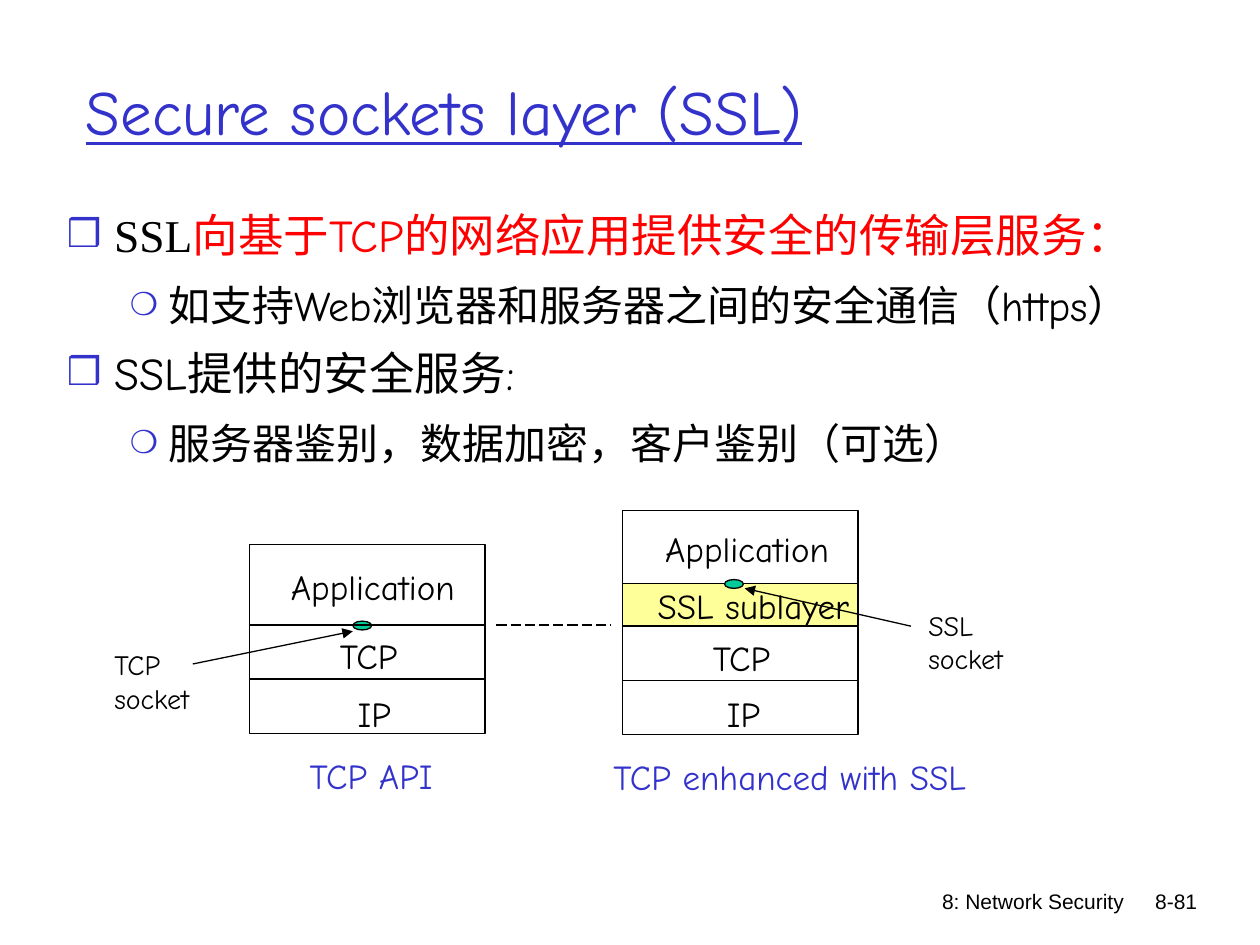
from lxml import etree
from pptx import Presentation
from pptx import util as u
from pptx.dml.color import RGBColor
from pptx.enum import dml, shapes, text
from pptx.oxml.ns import qn

BLACK = RGBColor(0x00, 0x00, 0x00)
BLUE = RGBColor(0x33, 0x33, 0xCC)
RED = RGBColor(0xFF, 0x00, 0x00)
YELLOW = RGBColor(0xFF, 0xFF, 0x99)
GREEN = RGBColor(0x00, 0xCC, 0x99)
FONT = "Comic Neue"

prs = Presentation()
prs.slide_width, prs.slide_height = u.Inches(10), u.Inches(7.5)
COL, ROW = prs.slide_width / 100, prs.slide_height / 75  # 100 x 75 grid
s = prs.slides.add_slide(prs.slide_layouts[1])


def grid(*cells):
    """Turn alternating column and row counts into lengths."""
    return [round(n * (COL, ROW)[i % 2]) for i, n in enumerate(cells)]


def write(p, words, size, color=BLACK, name=FONT, underline=None):
    r = p.add_run()
    r.text = words
    fmt = dict(size=u.Pt(size), name=name, underline=underline)
    for key, value in fmt.items():
        setattr(r.font, key, value)
    r.font.color.rgb = color


# Title and body placeholders
title, body = s.shapes.title, s.placeholders[1]
for sp, cells, anchor in [
    (title, (5.8, 2.5, 85, 12.5), text.MSO_ANCHOR.MIDDLE),
    (body, (4.3, 15.7, 92.2, 23.7), text.MSO_ANCHOR.TOP),
]:
    sp.left, sp.top, sp.width, sp.height = grid(*cells)
    tf = sp.text_frame
    for key, value in dict(auto_size=text.MSO_AUTO_SIZE.NONE, word_wrap=True,
                           vertical_anchor=anchor).items():
        setattr(tf, key, value)
p = title.text_frame.paragraphs[0]
p.alignment = text.PP_ALIGN.LEFT
write(p, "Secure sockets layer (SSL)", 36, BLUE, underline=True)

# Bulleted list: level and its runs
LEVELS = [  # bullet, bullet size, margin, indent, text size, space before
    ("❒", 85, 3.75, -3.75, 26, 6.5),
    ("❍", 75, 8.1, -3.1, 24, 6),
]
items = [
    (0, [("SSL", BLACK, "Times New Roman"),
         ("向基于TCP的网络应用提供安全的传输层服务：", RED, FONT)]),
    (1, [("如支持Web浏览器和服务器之间的安全通信（https）", BLACK, FONT)]),
    (0, [("SSL提供的安全服务:", BLACK, FONT)]),
    (1, [("服务器鉴别，数据加密，客户鉴别（可选）", BLACK, FONT)]),
]
tf = body.text_frame
for i, (level, runs) in enumerate(items):
    bullet, percent, margin, indent, size, before = LEVELS[level]
    p = tf.add_paragraph() if i else tf.paragraphs[0]
    p.level = level
    p.line_spacing = u.Pt(33)
    p.space_before = u.Pt(before if i else 0)
    pPr = p._p.get_or_add_pPr()
    pPr.set("marL", str(round(margin * COL)))
    pPr.set("indent", str(round(indent * COL)))
    color = etree.SubElement(pPr, qn("a:buClr"))
    etree.SubElement(color, qn("a:srgbClr"), val=str(BLUE))
    etree.SubElement(pPr, qn("a:buSzPct"), val=str(percent * 1000))
    etree.SubElement(pPr, qn("a:buChar"), char=bullet)
    for words, rgb, name in runs:
        write(p, words, size, rgb, name)

# Protocol stacks with their sockets, from back to front
RECT, OVAL = shapes.MSO_SHAPE.RECTANGLE, shapes.MSO_SHAPE.OVAL
LEFT, RIGHT, WIDTH, LAYER = 19.8, 49.4, 18.7, 4.3
for kind, cells, fill in [
    (RECT, (RIGHT, 46.3, WIDTH, 3.4), YELLOW),
    (RECT, (RIGHT, 49.7, WIDTH, LAYER), None),
    (RECT, (RIGHT, 54, WIDTH, LAYER), None),
    (RECT, (RIGHT, 40.5, WIDTH, 5.8), None),
    (OVAL, (28, 49.3, 1.5, 0.7), GREEN),
    (RECT, (LEFT, 43.2, WIDTH, 6.4), None),
    (RECT, (LEFT, 49.6, WIDTH, LAYER), None),
    (RECT, (LEFT, 53.9, WIDTH, LAYER), None),
    (OVAL, (57.5, 46, 1.5, 0.7), GREEN),
]:
    sp = s.shapes.add_shape(kind, *grid(*cells))
    sp.shadow.inherit = False
    sp.line.color.rgb = BLACK
    sp.line.width = u.Pt(0.75)
    if fill is None:
        sp.fill.background()
    else:
        sp.fill.solid()
        sp.fill.fore_color.rgb = fill

# Arrows to the sockets and the dashed line between the stacks
for cells, dashed in [
    ((15.3, 52.7, 28, 50.1), False),
    ((72.3, 49.7, 59.1, 46.7), False),
    ((39.4, 49.6, 48.5, 49.6), True),
]:
    line = s.shapes.add_connector(shapes.MSO_CONNECTOR.STRAIGHT, *grid(*cells))
    line.line.color.rgb = BLACK
    line.line.width = u.Pt(0.75)
    if dashed:
        line.line.dash_style = dml.MSO_LINE.LONG_DASH
    else:
        etree.SubElement(line.line._get_or_add_ln(), qn("a:tailEnd"), type="triangle")
    etree.SubElement(line._element.spPr, qn("a:effectLst"))

# Layer names, socket labels, captions and footer
for lines, cells, size, color, name in [
    (["Application"], (22.1, 44.4, 15, 4.4), 20, BLACK, FONT),
    (["TCP"], (26, 49.9, 6.7, 4.4), 20, BLACK, FONT),
    (["IP"], (27.4, 54.5, 5, 4.4), 20, BLACK, FONT),
    (["TCP API"], (23.6, 59.4, 11.9, 4.4), 20, BLUE, FONT),
    (["Application"], (51.8, 41.4, 15, 4.4), 20, BLACK, FONT),
    (["SSL sublayer"], (51.2, 45.9, 17.2, 4.4), 20, BLACK, FONT),
    (["TCP"], (55.6, 50, 6.7, 4.4), 20, BLACK, FONT),
    (["IP"], (56.7, 54.5, 5, 4.4), 20, BLACK, FONT),
    (["TCP enhanced with SSL"], (47.7, 59.5, 30.1, 4.4), 20, BLUE, FONT),
    (["TCP", "socket"], (8.1, 50.9, 11.4, 6.4), 16, BLACK, FONT),
    (["SSL", "socket"], (72.7, 47.8, 8, 6.4), 16, BLACK, FONT),
    (["8: Network Security"], (58.5, 70, 31.7, 5), 12, BLACK, "Arial"),
    (["8-81"], (88, 70, 8, 3.2), 12, BLACK, "Arial"),
]:
    footer = name == "Arial"
    tf = s.shapes.add_textbox(*grid(*cells)).text_frame
    tf.word_wrap = footer or len(lines) > 1
    if not footer:
        tf.auto_size = text.MSO_AUTO_SIZE.SHAPE_TO_FIT_TEXT
    for i, words in enumerate(lines):
        p = tf.add_paragraph() if i else tf.paragraphs[0]
        p.alignment = text.PP_ALIGN.RIGHT if footer else text.PP_ALIGN.LEFT
        write(p, words, size, color, name)

prs.save("out.pptx")
